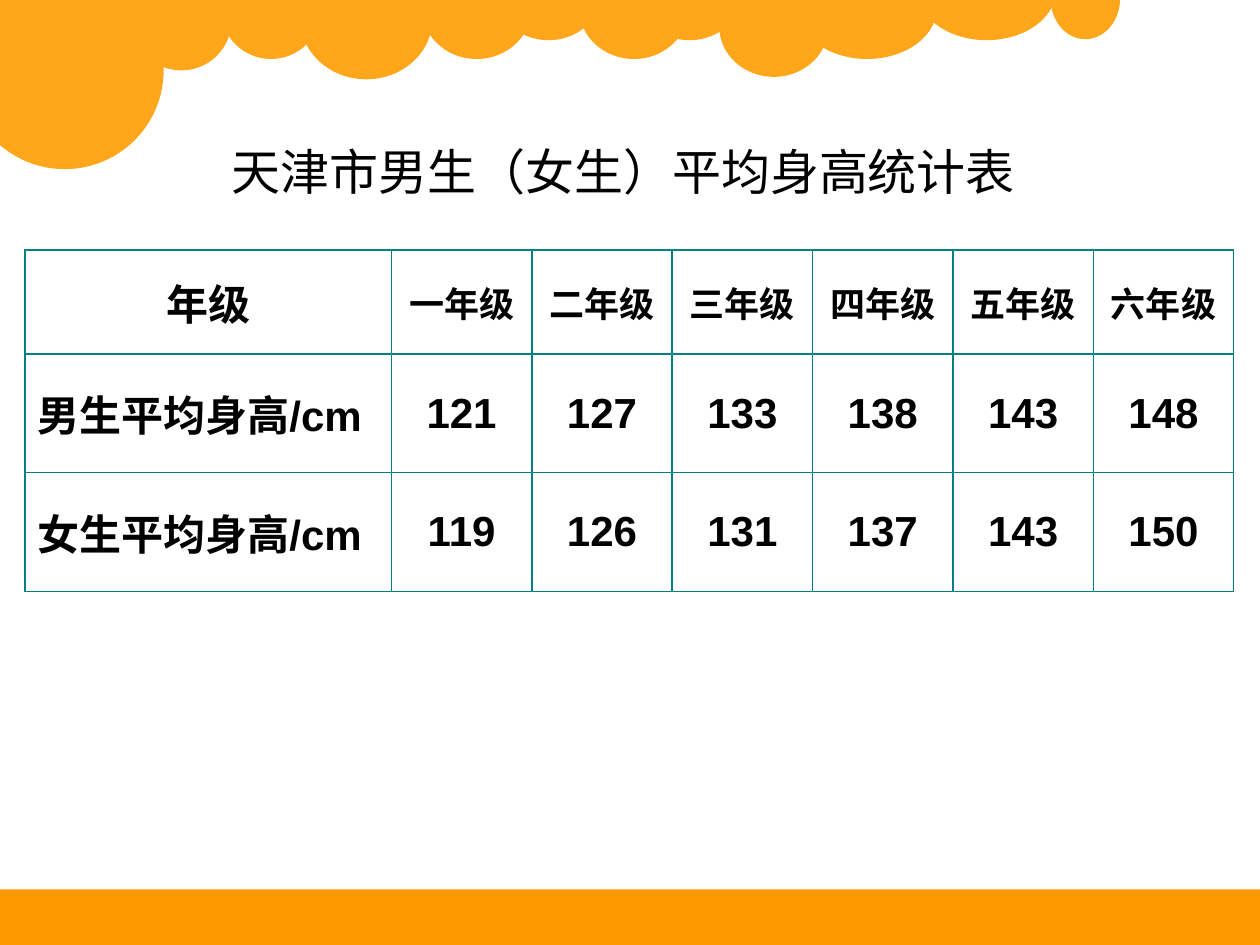
from lxml import etree
from pptx import Presentation
from pptx.dml.color import RGBColor
from pptx.enum import shapes, text
from pptx.oxml import ns
from pptx.util import Cm, Pt

TITLE = "天津市男生（女生）平均身高统计表"
ROWS = [
    ("年级", "一年级", "二年级", "三年级", "四年级", "五年级", "六年级"),
    ("男生平均身高/cm", 121, 127, 133, 138, 143, 148),
    ("女生平均身高/cm", 119, 126, 131, 137, 143, 150),
]
WIDTHS = [7.39] + [2.83] * 6
HEIGHTS = [2.1, 2.39, 2.39]

# left, top, width, height in cm
CLOUDS = [
    (-0.69, -0.58, 3.99, 3.99),
    (2.64, -0.61, 2.03, 2.03),
    (4.45, -0.84, 2.03, 2.03),
    (6.05, -0.84, 2.67, 2.44),
    (8.51, -0.84, 2.2, 2.03),
    (9.96, -1.22, 2.2, 2.03),
    (11.68, -0.84, 2.2, 2.03),
    (12.8, -1.22, 2.2, 2.03),
    (14.5, -0.48, 2.2, 2.03),
    (16.08, -0.84, 2.8, 2.03),
    (18.49, -1.22, 2.8, 2.03),
    (21.18, -0.84, 1.4, 1.63),
]
BAR = (-0.28, 17.93, 25.68, 1.12)
CENTER, LEFT = text.PP_ALIGN.CENTER, text.PP_ALIGN.LEFT


def color(code):
    return RGBColor.from_string(code)


def write(frame, words, size, font="Arial", bold=False, align=LEFT, before=0):
    par = frame.paragraphs[0]
    par.alignment = align
    par.space_before = Pt(before)
    run = par.add_run()
    run.text = str(words)
    run.font.size, run.font.name, run.font.bold = Pt(size), font, bold
    run.font.color.rgb = color("000000")


def draw(slide, kind, box, fill):
    shape = slide.shapes.add_shape(kind, *map(Cm, box))
    shape.shadow.inherit = False
    shape.fill.solid()
    shape.fill.fore_color.rgb = color(fill)
    shape.line.fill.background()


def edge(cell, code, width):
    """Line all four sides of a cell; borders must precede its fill."""
    props = cell._tc.get_or_add_tcPr()
    for spot, side in enumerate(("lnL", "lnR", "lnT", "lnB")):
        line = etree.Element(ns.qn("a:" + side), w=str(Pt(width)))
        fill = etree.SubElement(line, ns.qn("a:solidFill"))
        etree.SubElement(fill, ns.qn("a:srgbClr"), val=code)
        props.insert(spot, line)


def add_grid(slide):
    size = Cm(sum(WIDTHS)), Cm(sum(HEIGHTS))
    table = slide.shapes.add_table(
        len(ROWS), len(WIDTHS), Cm(0.5), Cm(5.04), *size).table
    table.first_row = table.horz_banding = False
    for col, width in zip(table.columns, WIDTHS):
        col.width = Cm(width)
    for r, row in enumerate(ROWS):
        table.rows[r].height = Cm(HEIGHTS[r])
        for c, words in enumerate(row):
            cell = table.cell(r, c)
            cell.vertical_anchor = text.MSO_ANCHOR.MIDDLE
            cell.fill.background()
            edge(cell, "008080", 0.96)
            write(cell.text_frame, words, bold=True,
                  size=20 if r == 0 and c else 24,
                  font="Arial" if r else "Times New Roman",
                  align=LEFT if r and c == 0 else CENTER,
                  before=6 if r else 0)


def add_title(slide):
    title = slide.shapes.title
    title.left, title.top, title.width, title.height = map(
        Cm, (4.42, 2.72, 17.2, 1.45))
    frame = title.text_frame
    frame.word_wrap = True
    frame.auto_size = text.MSO_AUTO_SIZE.NONE
    frame.vertical_anchor = text.MSO_ANCHOR.MIDDLE
    write(frame, TITLE, 28)


def main():
    deck = Presentation()
    deck.slide_width, deck.slide_height = Cm(25.4), Cm(19.05)
    slide = deck.slides.add_slide(deck.slide_layouts[5])
    for box in CLOUDS:
        draw(slide, shapes.MSO_SHAPE.OVAL, box, "FFA61B")
    draw(slide, shapes.MSO_SHAPE.RECTANGLE, BAR, "FF9900")
    add_grid(slide)
    add_title(slide)
    deck.save("out.pptx")


if __name__ == "__main__":
    main()
